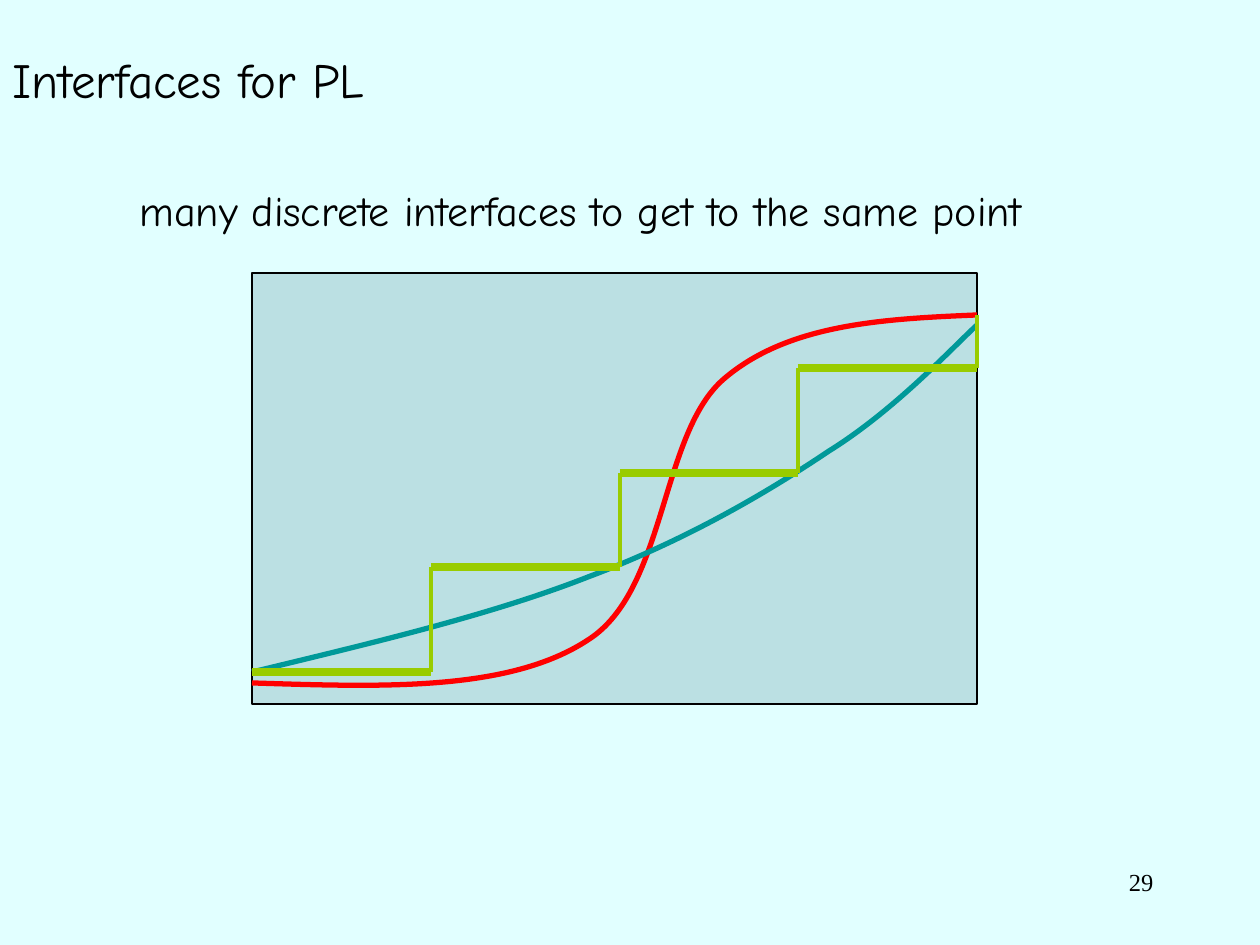
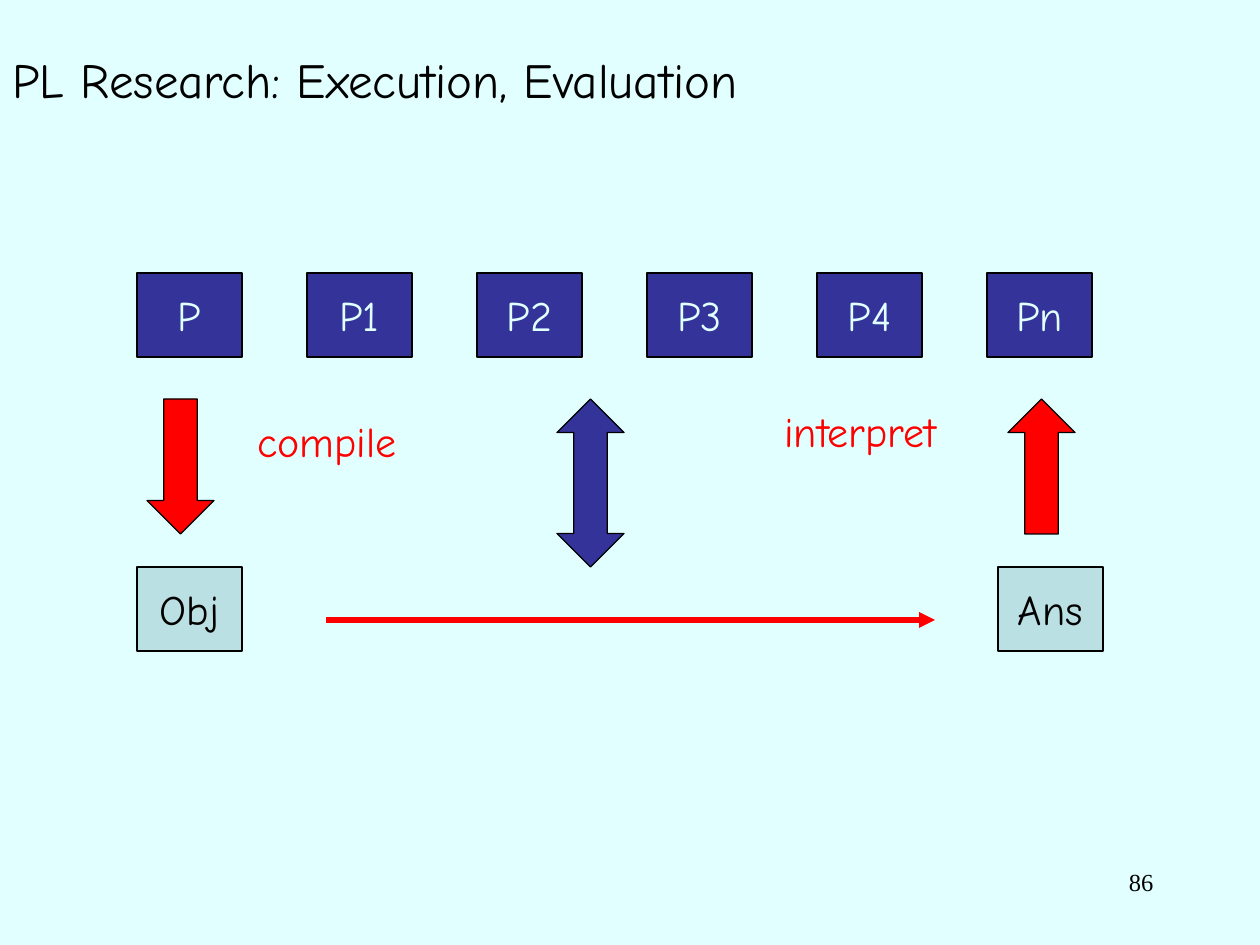
"""Build two slides on interfaces, compilation and interpretation in programming languages."""
from dataclasses import dataclass
from itertools import pairwise

from lxml import etree
from pptx import Presentation
from pptx.dml.color import RGBColor
from pptx.enum.shapes import MSO_CONNECTOR, MSO_SHAPE
from pptx.enum.text import MSO_ANCHOR, MSO_AUTO_SIZE, PP_ALIGN
from pptx.oxml.ns import qn
from pptx.util import Pt


@dataclass(frozen=True)
class Theme:
    background: RGBColor = RGBColor.from_string("E1FFFF")
    ink: RGBColor = RGBColor.from_string("000000")
    pale: RGBColor = RGBColor.from_string("BBE0E3")
    navy: RGBColor = RGBColor.from_string("333399")
    red: RGBColor = RGBColor.from_string("FF0000")
    teal: RGBColor = RGBColor.from_string("009999")
    green: RGBColor = RGBColor.from_string("99CC00")
    font: str = "Comic Neue"
    number_font: str = "Times New Roman"
    title_size: int = 28
    body_size: int = 24
    number_size: int = 14
    outline: float = 0.75
    curve: float = 3
    tread: float = 4.5
    riser: float = 2.25


theme = Theme()
PX = 914400 / 126


def write(shape, text, size=theme.body_size, color=theme.ink, font=theme.font,
          align=PP_ALIGN.LEFT, anchor=MSO_ANCHOR.TOP, wrap=False):
    frame = shape.text_frame
    frame.text = text
    frame.word_wrap = wrap
    frame.auto_size = MSO_AUTO_SIZE.NONE
    frame.vertical_anchor = anchor
    paragraph = frame.paragraphs[0]
    paragraph.alignment = align
    paragraph.font.size = Pt(size)
    paragraph.font.name = font
    paragraph.font.color.rgb = color


def draw_line(slide, start, end, color, width):
    line = slide.shapes.add_connector(
        MSO_CONNECTOR.STRAIGHT, *(round(v * PX) for v in (*start, *end)))
    line.line.color.rgb = color
    line.line.width = Pt(width)
    etree.SubElement(line._element.spPr, qn("a:effectLst"))
    return line


deck = Presentation()
deck.slide_width = round(1260 * PX)
deck.slide_height = round(945 * PX)
master_fill = deck.slide_master.background.fill
master_fill.solid()
master_fill.fore_color.rgb = theme.background

slides = []
for heading, number in [("Interfaces for PL", "29"),
                        ("PL Research: Execution, Evaluation", "86")]:
    slide = deck.slides.add_slide(deck.slide_layouts[5])
    title = slide.shapes.title
    title.left, title.top = 0, 0
    title.width, title.height = round(1071 * PX), round(158 * PX)
    write(title, heading, theme.title_size, anchor=MSO_ANCHOR.MIDDLE, wrap=True)
    page = slide.shapes.add_textbox(*(round(v * PX) for v in (903, 861, 263, 63)))
    write(page, number, theme.number_size, font=theme.number_font,
          align=PP_ALIGN.RIGHT, wrap=True)
    slides.append(slide)
interfaces, execution = slides

programs = [
    (execution, MSO_SHAPE.RECTANGLE, (137 + 170 * step, 273, 105, 84),
     theme.navy, name, theme.background)
    for step, name in enumerate(["P", "P1", "P2", "P3", "P4", "Pn"])
]
for slide, preset, place, fill, name, color in [
    (interfaces, MSO_SHAPE.RECTANGLE, (252, 273, 725, 431), theme.pale, "", theme.ink),
    *programs,
    (execution, MSO_SHAPE.RECTANGLE, (137, 567, 105, 84), theme.pale, "Obj", theme.ink),
    (execution, MSO_SHAPE.RECTANGLE, (998, 567, 105, 84), theme.pale, "Ans", theme.ink),
    (execution, MSO_SHAPE.DOWN_ARROW, (147, 399, 67, 135), theme.red, "", theme.ink),
    (execution, MSO_SHAPE.UP_ARROW, (1008, 399, 67, 135), theme.red, "", theme.ink),
    (execution, MSO_SHAPE.UP_DOWN_ARROW, (557, 399, 67, 168), theme.navy, "", theme.ink),
]:
    block = slide.shapes.add_shape(preset, *(round(v * PX) for v in place))
    block.shadow.inherit = False
    block.fill.solid()
    block.fill.fore_color.rgb = fill
    block.line.color.rgb = theme.ink
    block.line.width = Pt(theme.outline)
    if name:
        write(block, name, color=color, align=PP_ALIGN.CENTER, anchor=MSO_ANCHOR.MIDDLE)

for slide, place, text, color in [
    (interfaces, (127, 178, 994, 63),
     "many discrete interfaces to get to the same point", theme.ink),
    (execution, (245, 409, 181, 63), "compile", theme.red),
    (execution, (772, 399, 200, 63), "interpret", theme.red),
]:
    label = slide.shapes.add_textbox(*(round(v * PX) for v in place))
    write(label, text, color=color)

steep_curve = [(252, 683), (381, 687), (509, 692), (588, 640), (667, 590),
               (660, 432), (725, 378), (789, 324), (883, 319), (977, 315)]
gentle_curve = [(252, 672), (372, 643), (491, 615), (588, 577), (684, 541),
                (765, 494), (829, 451), (895, 410), (953, 347), (977, 325)]
for controls, color in [(steep_curve, theme.red), (gentle_curve, theme.teal)]:
    start, *rest = [(round(x * PX), round(y * PX)) for x, y in controls]
    outline = interfaces.shapes.build_freeform(*start)
    outline.add_line_segments(rest, close=False)
    curve = outline.convert_to_shape()
    segments = list(curve._element.iter(qn("a:lnTo")))
    for first in range(0, len(segments), 3):
        bezier = segments[first]
        bezier.tag = qn("a:cubicBezTo")
        for segment in segments[first + 1:first + 3]:
            bezier.append(segment[0])
            segment.getparent().remove(segment)
    curve.shadow.inherit = False
    curve.fill.background()
    curve.line.color.rgb = color
    curve.line.width = Pt(theme.curve)

stairs = [(252, 672), (431, 672), (431, 567), (620, 567), (620, 473),
          (798, 473), (798, 368), (977, 368), (977, 315)]
for start, end in pairwise(stairs):
    width = theme.tread if start[1] == end[1] else theme.riser
    draw_line(interfaces, start, end, theme.green, width)

run_arrow = draw_line(execution, (326, 620), (935, 620), theme.red, theme.curve)
etree.SubElement(run_arrow._element.spPr.find(qn("a:ln")), qn("a:tailEnd"), type="triangle")

deck.save("out.pptx")
